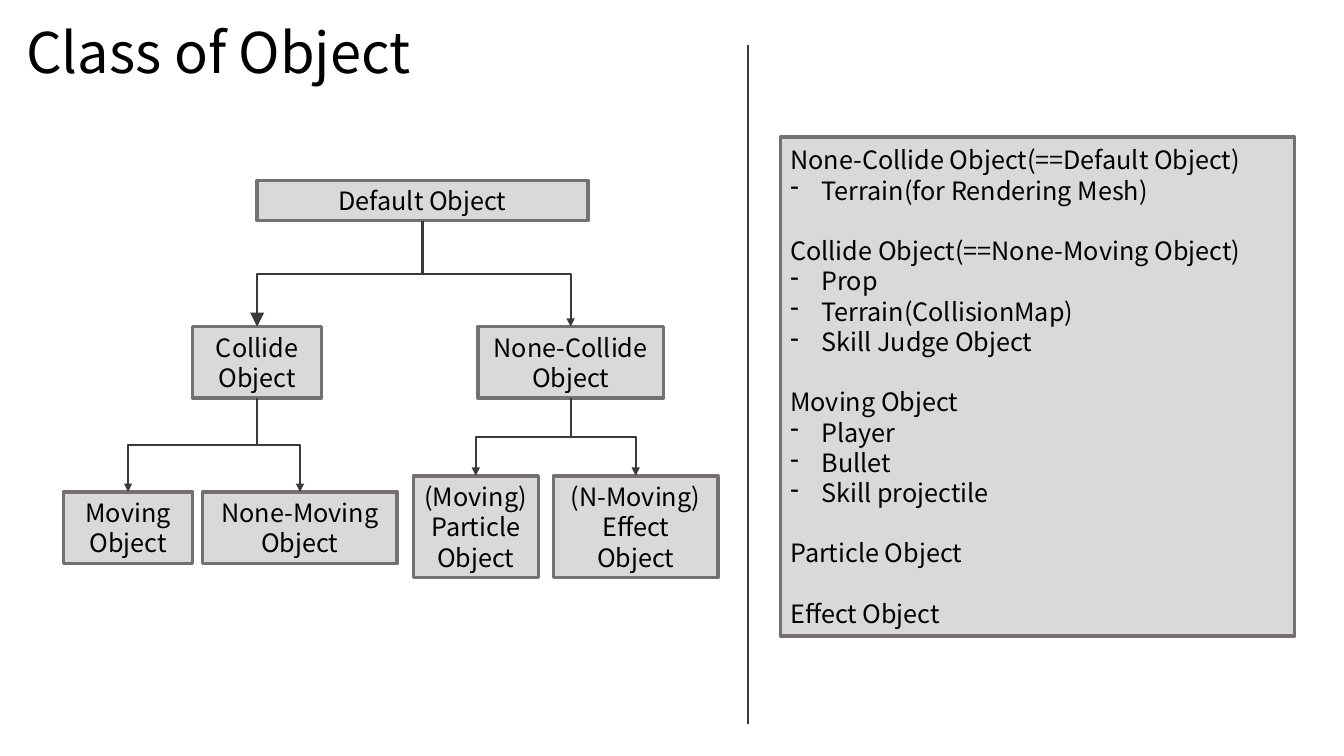
import pptx
import pptx.util
import pptx.dml.color
import pptx.enum.shapes
import pptx.enum.text
import pptx.oxml
import pptx.oxml.ns

Inches, Pt = pptx.util.Inches, pptx.util.Pt
ALIGN = pptx.enum.text.PP_ALIGN
qn = pptx.oxml.ns.qn
COLORS = {"text": "000000", "box": "D9D9D9", "border": "767171", "line": "3B3838"}
TOP, BOTTOM = 0, 2  # connection sites of a rectangle


def color(name):
    return pptx.dml.color.RGBColor.from_string(COLORS[name])


class ClassSlide:
    font = "Noto Sans CJK KR"

    def __init__(self, slide):
        self.slide = slide

    def format_frame(self, frame):
        frame.word_wrap = True
        frame.auto_size = pptx.enum.text.MSO_AUTO_SIZE.SHAPE_TO_FIT_TEXT
        frame.vertical_anchor = pptx.enum.text.MSO_ANCHOR.MIDDLE

    def format_paragraph(self, paragraph, align, size=18):
        paragraph.alignment = align
        paragraph.line_spacing = Pt(size * 1.2)
        paragraph.space_before = Pt(0)
        paragraph.font.size = Pt(size)
        paragraph.font.name = self.font
        paragraph.font.color.rgb = color("text")

    def title(self, text, left, top, width, height):
        title = self.slide.shapes.title
        title.left, title.top = Inches(left), Inches(top)
        title.width, title.height = Inches(width), Inches(height)
        title.text_frame.text = text
        self.format_frame(title.text_frame)
        self.format_paragraph(title.text_frame.paragraphs[0], ALIGN.JUSTIFY, 40)

    def box(self, lines, left, top, width, height, align=ALIGN.CENTER):
        box = self.slide.shapes.add_shape(
            pptx.enum.shapes.MSO_SHAPE.RECTANGLE,
            Inches(left), Inches(top), Inches(width), Inches(height))
        box.shadow.inherit = False
        box.fill.solid()
        box.fill.fore_color.rgb = color("box")
        box.line.color.rgb = color("border")
        box.line.width = Pt(2.5)
        box.text_frame.text = "\n".join(lines)
        self.format_frame(box.text_frame)
        for paragraph in box.text_frame.paragraphs:
            self.format_paragraph(paragraph, align)
        return box

    def bullet(self, paragraph):
        properties = paragraph._p.get_or_add_pPr()
        properties.set("marL", str(Inches(0.31)))
        properties.set("indent", str(-Inches(0.31)))
        mark = pptx.oxml.parse_xml(
            f'<a:buChar {pptx.oxml.ns.nsdecls("a")} char="-"/>')
        properties.insert_element_before(mark, "a:tabLst", "a:defRPr", "a:extLst")

    def line(self, kind, start, end, width):
        line = self.slide.shapes.add_connector(
            kind, *(Inches(value) for value in start + end))
        line.line.color.rgb = color("line")
        line.line.width = Pt(width)
        properties = line._element.spPr
        properties.append(properties.makeelement(qn("a:effectLst"), {}))
        return line

    def branch(self, parent, child, head="med"):
        """Elbow arrow that leaves the parent downwards, turns halfway and enters the child."""
        arrow = self.line(pptx.enum.shapes.MSO_CONNECTOR.ELBOW, (0, 0), (1, 1), 1.5)
        arrow.begin_connect(parent, BOTTOM)
        arrow.end_connect(child, TOP)
        start_x, end_x = (box.left + box.width // 2 for box in (parent, child))
        start_y, end_y = parent.top + parent.height, child.top
        drop, shift = end_y - start_y, abs(end_x - start_x)
        # The elbow runs sideways by default, so its frame is turned a quarter
        arrow.left = (start_x + end_x - drop) // 2
        arrow.top = (start_y + end_y - shift) // 2
        arrow.width, arrow.height = drop, shift
        frame = arrow._element.spPr.find(qn("a:xfrm"))
        for flip in ("flipH", "flipV"):
            frame.attrib.pop(flip, None)
        if end_x < start_x:
            frame.set("rot", "5400000")
        else:
            frame.set("rot", "16200000")
            frame.set("flipH", "1")
        stroke = arrow.line._get_or_add_ln()
        stroke.append(stroke.makeelement(
            qn("a:tailEnd"), {"type": "triangle", "w": head, "len": head}))


presentation = pptx.Presentation()
presentation.slide_width, presentation.slide_height = Inches(13.33), Inches(7.5)
page = ClassSlide(presentation.slides.add_slide(presentation.slide_layouts[5]))
page.title("Class of Object", 0.16, 0.12, 5.41, 0.77)

# Class tree
default = page.box(["Default Object"], 2.55, 1.79, 3.28, 0.4)
collide = page.box(["Collide", "Object"], 1.91, 3.24, 1.28, 0.71)
none_collide = page.box(["None-Collide", "Object"], 4.74, 3.24, 1.84, 0.71)
moving = page.box(["Moving", "Object"], 0.63, 4.88, 1.28, 0.71)
none_moving = page.box(["None-Moving", "Object"], 2.01, 4.88, 1.93, 0.71)
particle = page.box(["(Moving)", "Particle", "Object"], 4.1, 4.72, 1.24, 1.01)
effect = page.box(["(N-Moving)", "Effect", "Object"], 5.49, 4.72, 1.63, 1.01)

page.branch(default, collide, head="lg")
for parent, child in [(default, none_collide), (collide, moving), (collide, none_moving),
                      (none_collide, particle), (none_collide, effect)]:
    page.branch(parent, child)

# Divider
page.line(pptx.enum.shapes.MSO_CONNECTOR.STRAIGHT, (7.42, 0.45), (7.42, 7.18), 1)

# Members of each class
MEMBERS = {
    "None-Collide Object(==Default Object)": ["Terrain(for Rendering Mesh)"],
    "Collide Object(==None-Moving Object)":
        ["Prop", "Terrain(CollisionMap)", "Skill Judge Object"],
    "Moving Object": ["Player", "Bullet", "Skill projectile"],
    "Particle Object": [],
    "Effect Object": [],
}
member_lines = [line for name, members in MEMBERS.items() for line in [name] + members]
member_box = page.box(member_lines, 7.74, 1.36, 5.1, 4.95, ALIGN.JUSTIFY)
for index, paragraph in enumerate(member_box.text_frame.paragraphs):
    if paragraph.text not in MEMBERS:
        page.bullet(paragraph)
    elif index:
        paragraph.space_before = Pt(21.6)

presentation.save("out.pptx")
